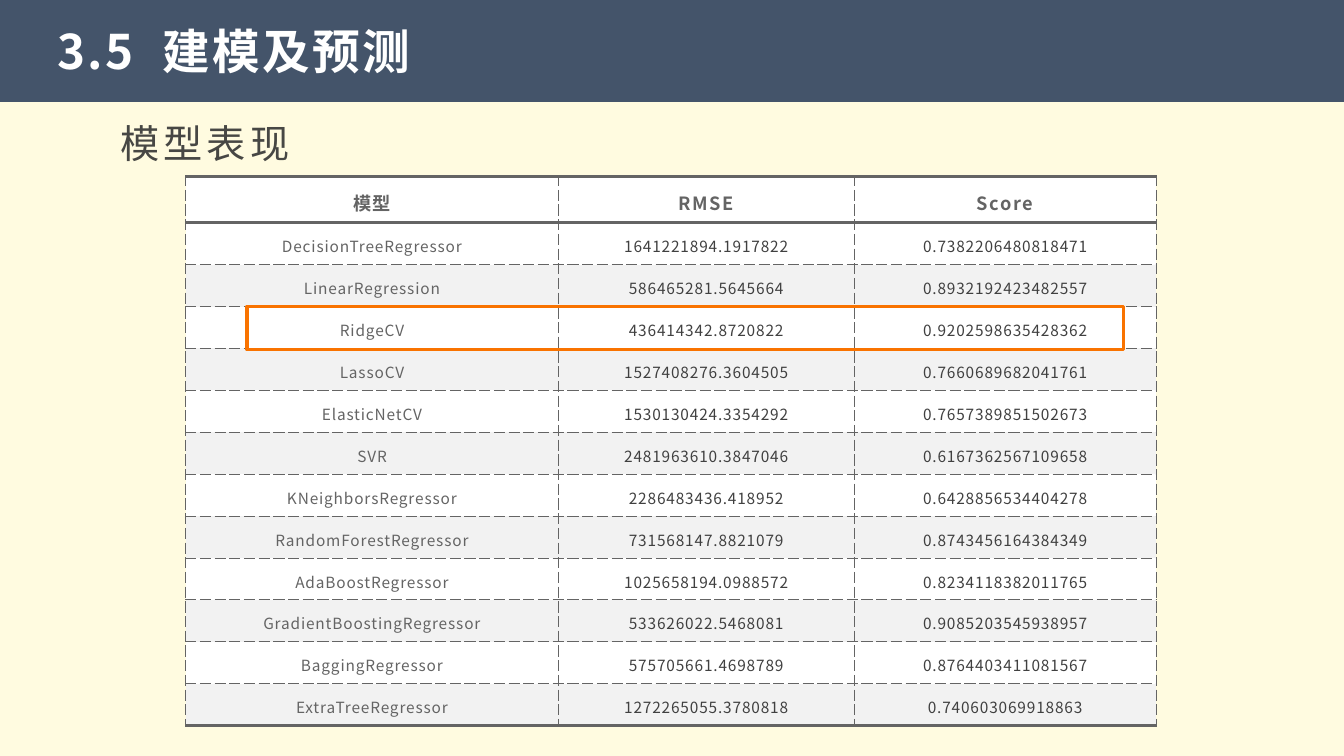
from lxml.etree import SubElement
from pptx import Presentation
from pptx.dml.color import RGBColor
from pptx.enum.shapes import MSO_SHAPE as Shape
from pptx.enum.text import MSO_ANCHOR as Anchor, PP_ALIGN as Align
from pptx.oxml.ns import qn
from pptx.util import Inches, Pt

FONT = "Noto Sans CJK SC"
CREAM = RGBColor(0xFF, 0xFB, 0xE0)
SLATE = RGBColor(0x44, 0x54, 0x6A)
WHITE = RGBColor(0xFF, 0xFF, 0xFF)
PALE_GREY = RGBColor(0xF2, 0xF2, 0xF2)
GREY = RGBColor(0x64, 0x64, 0x64)
DARK_GREY = RGBColor(0x40, 0x40, 0x40)
SUBTITLE_GREY = RGBColor(0x47, 0x47, 0x44)
ORANGE = RGBColor(0xF9, 0x73, 0x00)

HEADINGS = ("模型", "RMSE", "Score")
RESULTS = (
    ("DecisionTreeRegressor", "1641221894.1917822", "0.7382206480818471"),
    ("LinearRegression", "586465281.5645664", "0.8932192423482557"),
    ("RidgeCV", "436414342.8720822", "0.9202598635428362"),
    ("LassoCV", "1527408276.3604505", "0.7660689682041761"),
    ("ElasticNetCV", "1530130424.3354292", "0.7657389851502673"),
    ("SVR", "2481963610.3847046", "0.6167362567109658"),
    ("KNeighborsRegressor", "2286483436.418952", "0.6428856534404278"),
    ("RandomForestRegressor", "731568147.8821079", "0.8743456164384349"),
    ("AdaBoostRegressor", "1025658194.0988572", "0.8234118382011765"),
    ("GradientBoostingRegressor", "533626022.5468081", "0.9085203545938957"),
    ("BaggingRegressor", "575705661.4698789", "0.8764403411081567"),
    ("ExtraTreeRegressor", "1272265055.3780818", "0.740603069918863"),
)
COLUMN_WIDTHS = (3.7, 2.93, 3)
HEADING_HEIGHT = 0.46
THIN, THICK = 0.75, 2.25


def set_font(paragraph, size, color, spacing, bold=False):
    """Style a paragraph, with letter spacing in points."""
    font = paragraph.font
    font.name, font.size, font.bold = FONT, Pt(size), bold
    font.color.rgb = color
    properties = paragraph._p.pPr.find(qn("a:defRPr"))
    properties.set("spc", str(round(spacing * 100)))
    SubElement(properties, qn("a:ea"), typeface=FONT)


def add_title_bar(slide, left, top, width, height):
    bar = slide.shapes.add_shape(Shape.RECTANGLE, Inches(left), Inches(top),
                                 Inches(width), Inches(height))
    bar.shadow.inherit = False
    bar.fill.solid()
    bar.fill.fore_color.rgb = SLATE
    bar.line.fill.background()

    title = slide.shapes.add_textbox(Inches(left + 0.5), Inches(top + 0.17),
                                     Inches(width - 1), Inches(height - 0.34))
    frame = title.text_frame
    frame.word_wrap = True
    frame.vertical_anchor = Anchor.MIDDLE
    frame.margin_left = frame.margin_right = Inches(0.07)
    frame.margin_top = frame.margin_bottom = Inches(0.03)
    paragraph = frame.paragraphs[0]
    # The space after the section number is set wider than the other letters.
    for text, spacing in (("3.5", 1.8), (" ", 11), ("建模及预测", 1.8)):
        run = paragraph.add_run()
        run.text = text
        run.font._element.set("spc", str(round(spacing * 100)))
    set_font(paragraph, 34, WHITE, 1.8, bold=True)


def add_subtitle(slide, left, top, width, height):
    subtitle = slide.shapes.add_textbox(Inches(left), Inches(top),
                                        Inches(width), Inches(height))
    subtitle.text_frame.word_wrap = True
    paragraph = subtitle.text_frame.paragraphs[0]
    paragraph.text = "模型表现"
    paragraph.alignment = Align.CENTER
    set_font(paragraph, 28, SUBTITLE_GREY, 3)


def add_borders(cell, top, bottom):
    """Draw the four borders: thin ones are dashed, thick ones solid."""
    properties = cell._tc.get_or_add_tcPr()
    for side, width in (("L", THIN), ("R", THIN), ("T", top), ("B", bottom)):
        line = SubElement(properties, qn(f"a:ln{side}"), w=str(Pt(width)))
        fill = SubElement(line, qn("a:solidFill"))
        SubElement(fill, qn("a:srgbClr"), val=str(GREY))
        SubElement(line, qn("a:prstDash"),
                   val="sysDash" if width == THIN else "solid")


def fill_cell(cell, text, row, column):
    is_heading = row == 0
    add_borders(cell, top=THICK if row <= 1 else THIN,
                bottom=THICK if row in (0, len(RESULTS)) else THIN)
    cell.fill.solid()
    cell.fill.fore_color.rgb = PALE_GREY if row and row % 2 == 0 else WHITE
    cell.vertical_anchor = Anchor.MIDDLE
    cell.margin_left = cell.margin_right = Inches(0.12)
    cell.margin_top = cell.margin_bottom = Inches(0.07)
    paragraph = cell.text_frame.paragraphs[0]
    paragraph.text = text
    paragraph.alignment = Align.CENTER
    paragraph.line_spacing = 1.2
    if is_heading:
        set_font(paragraph, 13, GREY, 1.2, bold=True)
    else:
        set_font(paragraph, 11, DARK_GREY if column else GREY, 0.6)


def add_results_table(slide, left, top, width, height):
    rows = (HEADINGS, *RESULTS)
    table = slide.shapes.add_table(len(rows), len(HEADINGS), Inches(left), Inches(top),
                                   Inches(width), Inches(height)).table
    table.horz_banding = False
    for column, column_width in zip(table.columns, COLUMN_WIDTHS):
        column.width = Inches(column_width)
    result_height = (height - HEADING_HEIGHT) / len(RESULTS)
    for row, texts in enumerate(rows):
        table.rows[row].height = Inches(result_height if row else HEADING_HEIGHT)
        for column, text in enumerate(texts):
            fill_cell(table.cell(row, column), text, row, column)


def add_best_model_frame(slide, left, top, width, height):
    frame = slide.shapes.add_shape(Shape.RECTANGLE, Inches(left), Inches(top),
                                   Inches(width), Inches(height))
    frame.shadow.inherit = False
    frame.fill.background()
    frame.line.color.rgb = ORANGE
    frame.line.width = Pt(2.25)


def main():
    presentation = Presentation()
    presentation.slide_width = Inches(13.33)
    presentation.slide_height = Inches(7.5)
    slide = presentation.slides.add_slide(presentation.slide_layouts[6])
    slide.background.fill.solid()
    slide.background.fill.fore_color.rgb = CREAM

    add_subtitle(slide, 0.5, 1.13, 3.06, 0.57)
    add_title_bar(slide, 0, 0, 13.33, 1.01)
    add_results_table(slide, 1.84, 1.75, sum(COLUMN_WIDTHS), 5.45)
    add_best_model_frame(slide, 2.45, 3.04, 8.69, 0.43)
    presentation.save("out.pptx")


if __name__ == "__main__":
    main()
